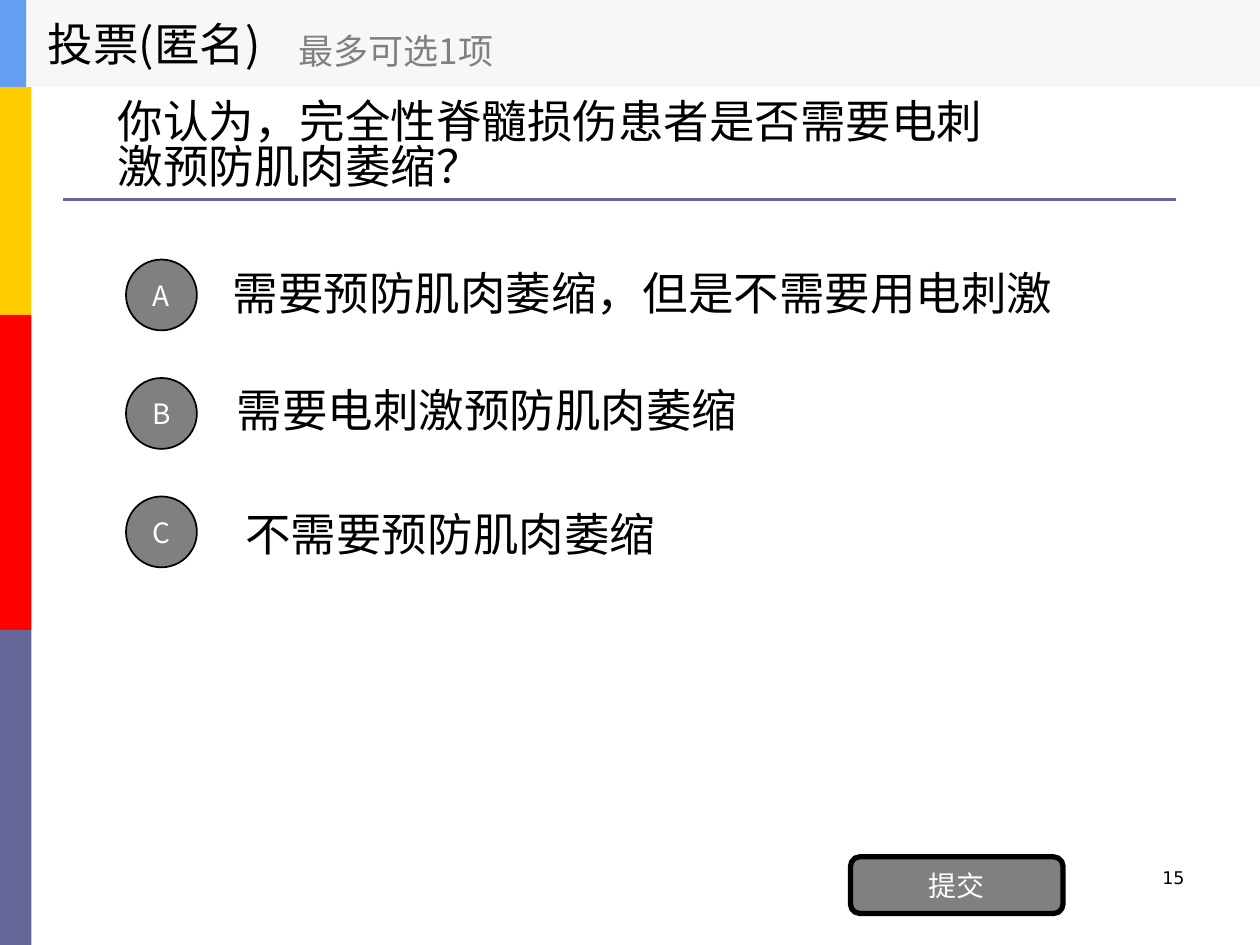
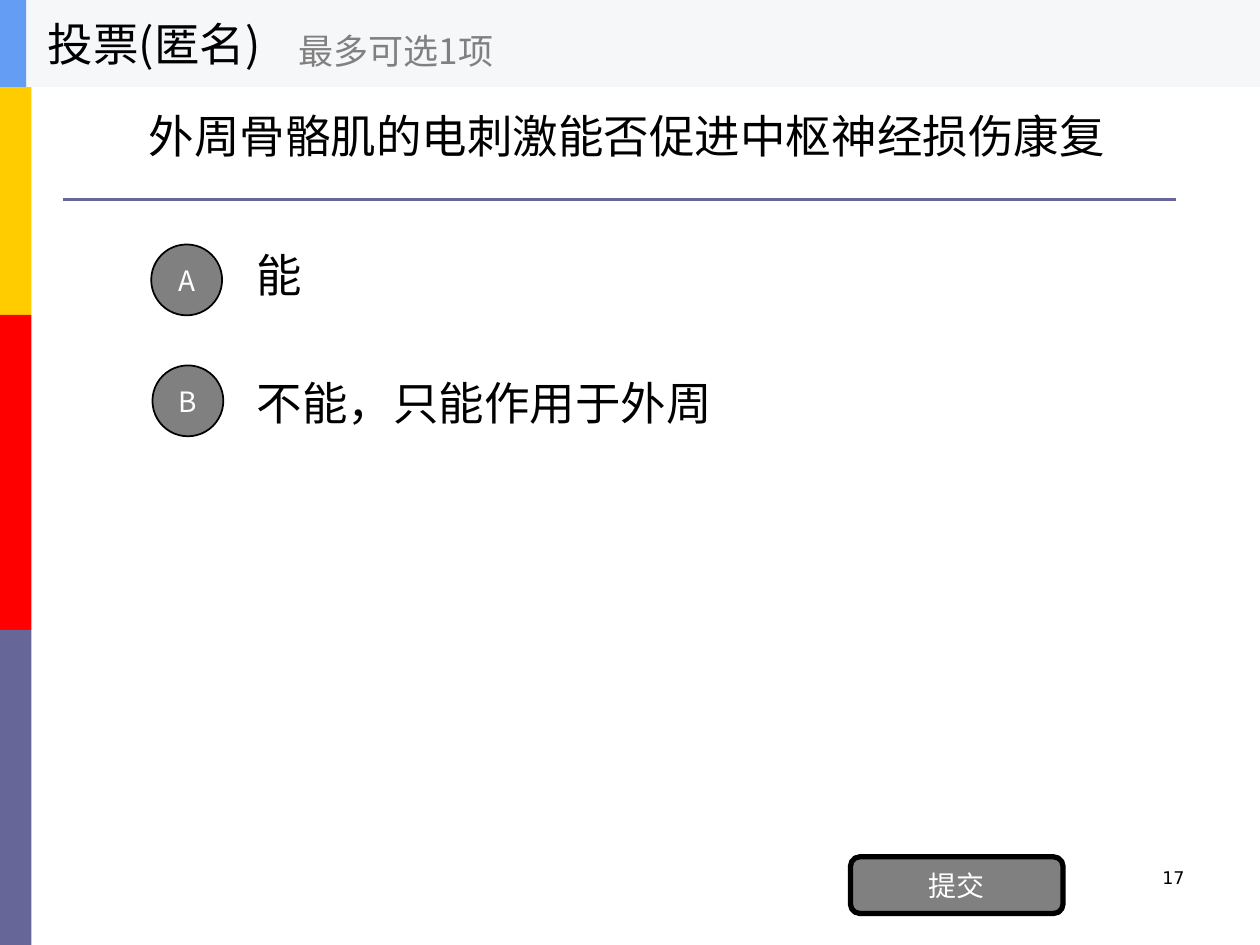
import pptx
import pptx.dml.color
import pptx.enum.shapes
import pptx.enum.text
import pptx.oxml
import pptx.oxml.ns
import pptx.util

Pt = pptx.util.Pt
SHAPE = pptx.enum.shapes.MSO_SHAPE
ALIGN = pptx.enum.text.PP_ALIGN
ANCHOR = pptx.enum.text.MSO_ANCHOR

SLIDE_W, SLIDE_H = 720, 540
CJK_FONT, NUMBER_FONT = "Noto Sans CJK SC", "DejaVu Sans"
BODY_SIZE, BUTTON_SIZE = 26, 16
BADGE = 40.5
OPTION_W, OPTION_H = 504, 50.4
COLORS = {
    "yellow": "FFCC00", "red": "FF0000", "violet": "666699",
    "header": "F6F7F8", "accent": "639EF4",
    "gray": "808080", "black": "000000", "white": "FFFFFF",
}

# Each option: text, badge position, text position
POLLS = [
    {
        "question": "你认为，完全性脊髓损伤患者是否需要电刺激预防肌肉萎缩？",
        "question_box": (60, 0, 533.5, 168.5),
        "options": [
            ("需要预防肌肉萎缩，但是不需要用电刺激", (72, 148.3), (126, 141.8)),
            ("需要电刺激预防肌肉萎缩", (72, 216), (128.2, 208.8)),
            ("不需要预防肌肉萎缩", (72, 283.7), (133.2, 279.4)),
        ],
        "number": "15",
    },
    {
        "question": "外周骨骼肌的电刺激能否促进中枢神经损伤康复",
        "question_box": (77.8, -4.3, 576, 168.5),
        "options": [
            ("能", (86.4, 139.7), (139.7, 131.8)),
            ("不能，只能作用于外周", (87.1, 208.8), (139.7, 204.5)),
        ],
        "number": "17",
    },
]


def rgb(color):
    return pptx.dml.color.RGBColor.from_string(COLORS[color])


def points(box):
    return [Pt(length) for length in box]


def write(frame, text, size, color="black", font=CJK_FONT, align=ALIGN.LEFT,
          anchor=ANCHOR.MIDDLE, wrap=True):
    """Put one formatted run into a text frame."""
    frame.word_wrap = wrap
    frame.auto_size = pptx.enum.text.MSO_AUTO_SIZE.NONE
    frame.vertical_anchor = anchor
    frame.margin_left = frame.margin_right = Pt(7.2)
    frame.margin_top = frame.margin_bottom = Pt(3.6)
    paragraph = frame.paragraphs[0]
    paragraph.alignment = align
    run = paragraph.add_run()
    run.text = text
    run.font.size = Pt(size)
    run.font.name = font
    run.font.color.rgb = rgb(color)
    east_asian = pptx.oxml.parse_xml(
        f'<a:ea {pptx.oxml.ns.nsdecls("a")} typeface="{font}"/>')
    run.font.fill  # the colour precedes the typefaces
    run._r.rPr.find(pptx.oxml.ns.qn("a:latin")).addnext(east_asian)


def add_text(shapes, box, text, size, **style):
    write(shapes.add_textbox(*points(box)).text_frame, text, size, **style)


def add_block(shapes, kind, box, fill, line_width=0):
    block = shapes.add_shape(kind, *points(box))
    block.shadow.inherit = False
    block.fill.solid()
    block.fill.fore_color.rgb = rgb(fill)
    if line_width:
        block.line.color.rgb = rgb("black")
        block.line.width = Pt(line_width)
    else:
        block.line.fill.background()
    return block


def add_side_bands(slide, left, top, width, height):
    """Three equal colour bands and the rule under the question."""
    bands = ("yellow", "red", "violet")
    band_h = height / len(bands)
    for i, color in enumerate(bands):
        add_block(slide.shapes, SHAPE.RECTANGLE,
                  (left, top + i * band_h, width, band_h), color)
    rule = slide.shapes.add_connector(
        pptx.enum.shapes.MSO_CONNECTOR.STRAIGHT,
        *points((left + 36, top + 114, left + 672, top + 114)))
    rule.line.color.rgb = rgb("violet")
    rule.line.width = Pt(1.5)
    rule._element.spPr.append(pptx.oxml.parse_xml(
        f'<a:effectLst {pptx.oxml.ns.nsdecls("a")}/>'))


def add_question(slide, box, text):
    title = slide.shapes.title
    title.left, title.top, title.width, title.height = points(box)
    write(title.text_frame, text, BODY_SIZE)
    title.text_frame.paragraphs[0].line_spacing = 0.83


def add_option(slide, letter, text, badge_at, text_at):
    """Answer text with its lettered badge."""
    add_text(slide.shapes, (*text_at, OPTION_W, OPTION_H), text, BODY_SIZE)
    badge = add_block(slide.shapes, SHAPE.OVAL, (*badge_at, BADGE, BADGE), "gray", 1)
    write(badge.text_frame, letter, BUTTON_SIZE, color="white", align=ALIGN.CENTER)


def add_footer(slide, left, top, number):
    """Submit button and page number."""
    submit = add_block(slide.shapes, SHAPE.ROUNDED_RECTANGLE,
                       (left, top, 121.5, 32.4), "gray", 3)
    write(submit.text_frame, "提交", BUTTON_SIZE, color="white", align=ALIGN.CENTER)
    add_text(slide.shapes, (left + 30, top + 2.2, 168, 36), number, 10,
             font=NUMBER_FONT, align=ALIGN.RIGHT, anchor=ANCHOR.TOP)


def add_header(slide, left, top, width, height):
    """Grouped band naming the poll type and its limit."""
    header = slide.shapes.add_group_shape().shapes
    add_block(header, SHAPE.RECTANGLE, (left, top, width, height), "header")
    add_block(header, SHAPE.RECTANGLE, (left, top, 15, height), "accent")
    add_text(header, (left + 20.2, top, 149.8, height), "投票(匿名)", BODY_SIZE,
             wrap=False)
    add_text(header, (left + 163.4, top + 8.6, 180, 40.3), "最多可选1项", 20,
             color="gray", wrap=False)


def add_poll_slide(deck, poll):
    slide = deck.slides.add_slide(deck.slide_layouts[5])
    add_side_bands(slide, 0, 0, 18, SLIDE_H)
    add_question(slide, poll["question_box"], poll["question"])
    for letter, option in zip("ABC", poll["options"]):
        add_option(slide, letter, *option)
    add_footer(slide, 486, 489.6, poll["number"])
    add_header(slide, 0, 0, SLIDE_W, 49.7)


def main():
    deck = pptx.Presentation()
    deck.slide_width, deck.slide_height = Pt(SLIDE_W), Pt(SLIDE_H)
    for poll in POLLS:
        add_poll_slide(deck, poll)
    deck.save("out.pptx")


if __name__ == "__main__":
    main()
